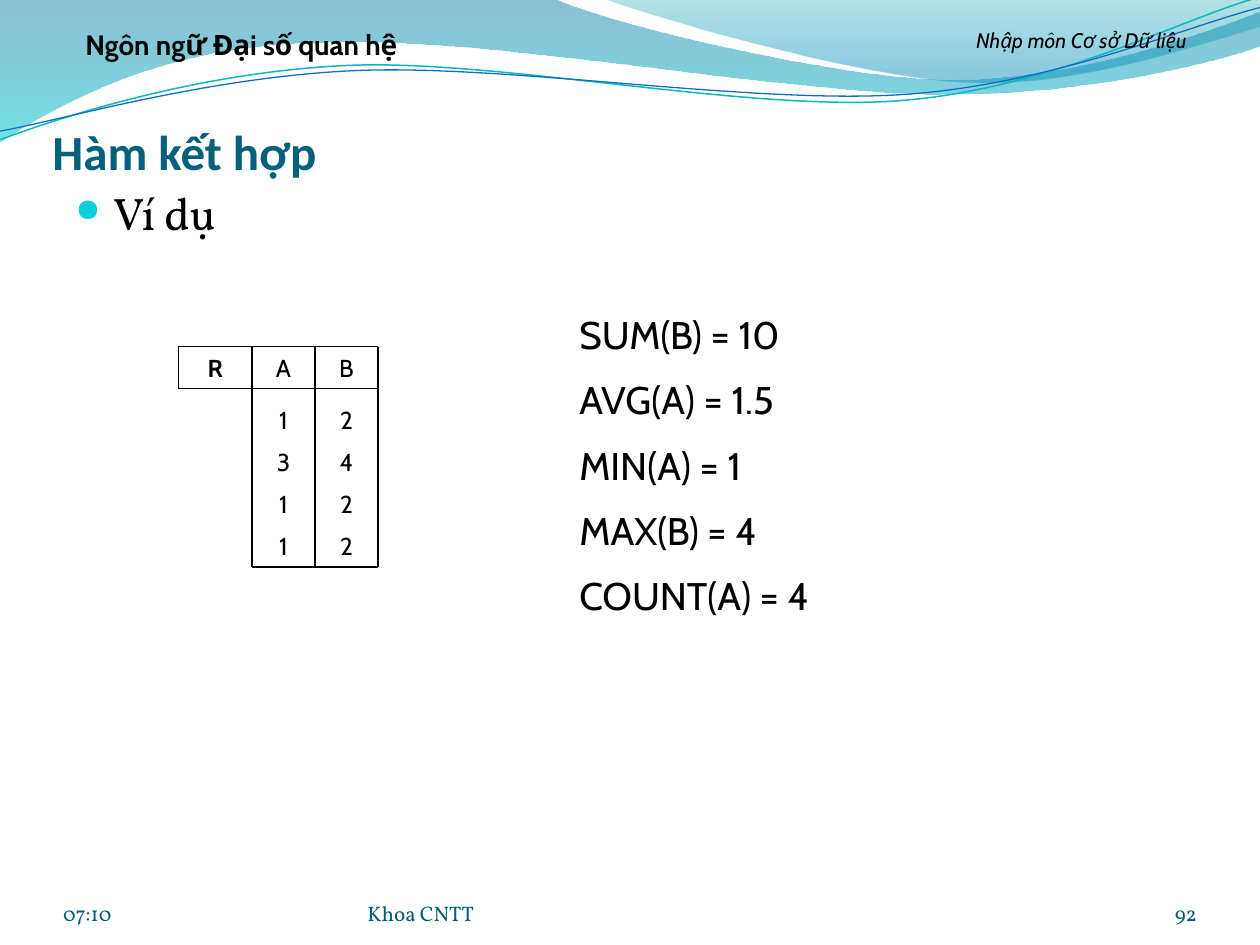
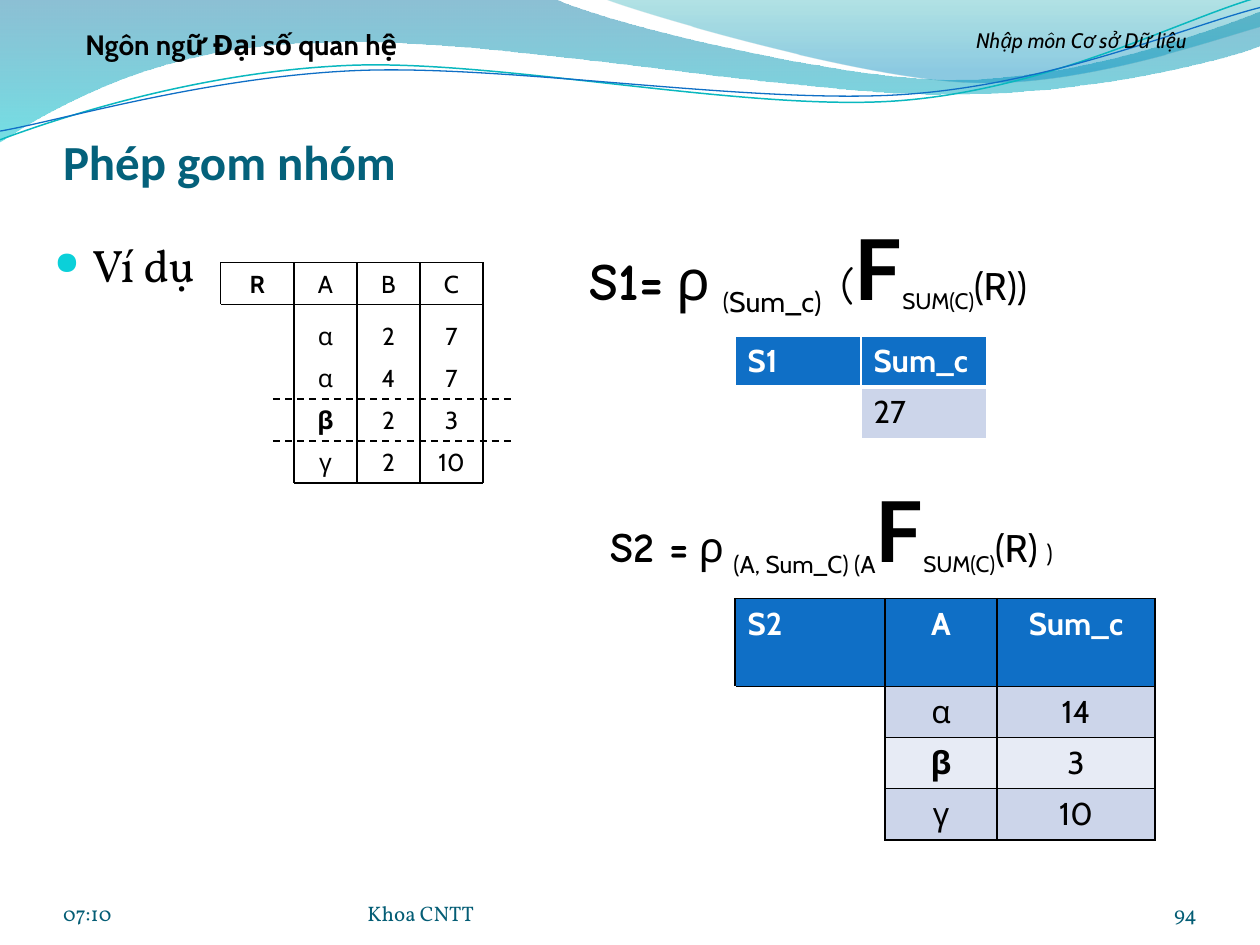
from dataclasses import dataclass
from typing import NamedTuple

import lxml.etree
import pptx
import pptx.dml.color
import pptx.enum.dml
import pptx.enum.shapes
import pptx.enum.text
import pptx.oxml
import pptx.oxml.ns
import pptx.util

Pt = pptx.util.Pt
ALIGN = pptx.enum.text.PP_ALIGN
ANCHOR = pptx.enum.text.MSO_ANCHOR
QN = pptx.oxml.ns.qn
NAMESPACE = pptx.oxml.ns.nsdecls("a")

BLACK, WHITE = "000000", "FFFFFF"
TITLE_TEAL, FOOTER_TEAL = "04617B", "045D75"
HEADER_BLUE, BULLET_CYAN = "0F6FC6", "0BD0D9"
ROW_FILLS = ("CCD5EA", "E7EBF5")
BOLD_SYMBOLS = {"R", "β"}
HEADING_FONT, BODY_FONT, LABEL_FONT = "Calibri", "Vollkorn", "Cabin"
FORMULA_FONT, OPERATOR_FONT = "Comic Neue", "Lato"


class Box(NamedTuple):
    left: float
    top: float
    width: float
    height: float


class Wave(NamedTuple):
    """A start point, then segments of one point (line) or three (curve)."""
    start: tuple
    segments: list
    stops: tuple = ()
    line: tuple = ()


@dataclass
class Relation:
    left: float
    top: float
    rows: list
    dashes_after: tuple = ()


@dataclass
class ResultTable:
    left: float
    top: float
    widths: list
    header_height: float
    rows: list
    aligns: list
    border: str
    header_rule: float


WAVES = [
    Wave((0, -0.7), [
        [(316.8, -0.7)],
        [(342.7, 12.2), (478.1, 45.4), (545.8, 45.4)],
        [(614.2, 45.4), (689.8, 18.7), (720, 6.5)],
        [(720.7, 25.9)],
        [(707.8, 31.7), (626.4, 54.7), (537.1, 54)],
        [(447.8, 54), (275, 20.2), (185, 24.5)],
        [(92.9, 25.2), (33.1, 59.8), (-0.7, 81.4)],
    ], stops=((0, "0074A1", 45), (100, "00C6CF", 55))),
    Wave((344.9, -0.7), [
        [(366.5, 7.9), (491, 44.6), (553.7, 46.8)],
        [(616.3, 49.7), (691.9, 23), (720, 15.1)],
        [(720, 0)],
    ], stops=((0, "00A1A9", 30), (80, "008BBF", 45))),
    Wave((0, 79.9), [
        [(34.6, 67), (113.8, 41), (199.4, 37.4)],
        [(284.4, 33.8), (427, 64.1), (513.4, 57.6)],
        [(599.8, 51.1), (675.4, 10.8), (718.6, -1.4)],
    ], line=("0AB8BF", 0.85)),
    Wave((0, 74.9), [
        [(33.8, 69.1), (118.1, 43.9), (203.8, 40.3)],
        [(290.2, 36.7), (429.8, 59.8), (516.2, 54)],
        [(601.9, 48.2), (677.5, 15.1), (720, 4.3)],
    ], line=(HEADER_BLUE, 0.75)),
]


def rgb(color: str) -> pptx.dml.color.RGBColor:
    return pptx.dml.color.RGBColor.from_string(color)


def write_text(paragraph, text: str, *, size: float, font: str = LABEL_FONT,
               color: str = BLACK, bold: bool = False, italic: bool = False,
               baseline: int = 0, align=ALIGN.LEFT) -> None:
    """Append one formatted run to the paragraph."""
    paragraph.alignment = align
    run = paragraph.add_run()
    run.text = text
    run.font.size, run.font.name = Pt(size), font
    run.font.bold, run.font.italic = bold, italic
    run.font.color.rgb = rgb(color)
    if baseline:
        run.font._element.set("baseline", str(baseline * 1000))


def add_frame(slide, box: Box, anchor=ANCHOR.TOP, insets: tuple = (7.2, 3.6, 7.2, 3.6)):
    frame = slide.shapes.add_textbox(*map(Pt, box)).text_frame
    frame.word_wrap = True
    frame.vertical_anchor = anchor
    (frame.margin_left, frame.margin_top,
     frame.margin_right, frame.margin_bottom) = map(Pt, insets)
    return frame


def add_label(slide, box: Box, text: str, **text_format) -> None:
    write_text(add_frame(slide, box).paragraphs[0], text, align=ALIGN.CENTER, **text_format)


def add_line(slide, start: tuple, end: tuple, dashed: bool = False) -> None:
    line = slide.shapes.add_connector(
        pptx.enum.shapes.MSO_CONNECTOR.STRAIGHT, *map(Pt, start + end))
    line.line.color.rgb = rgb(BLACK)
    line.line.width = Pt(1)
    if dashed:
        line.line.dash_style = pptx.enum.dml.MSO_LINE.DASH
    lxml.etree.SubElement(line._element.spPr, QN("a:effectLst"))


def bend_segments(shape, segments: list) -> None:
    """Turn each run of three straight steps into one Bézier curve."""
    steps = iter(list(shape._element.iter(QN("a:lnTo"))))
    for segment in segments:
        first, *others = [next(steps) for _ in segment]
        if others:
            curve = lxml.etree.Element(QN("a:cubicBezTo"))
            first.addprevious(curve)
            for step in (first, *others):
                curve.append(step[0])
                step.getparent().remove(step)


def add_wave(slide, wave: Wave) -> None:
    builder = slide.shapes.build_freeform(*map(Pt, wave.start))
    builder.add_line_segments(
        [(Pt(x), Pt(y)) for segment in wave.segments for x, y in segment],
        close=bool(wave.stops))
    shape = builder.convert_to_shape()
    bend_segments(shape, wave.segments)
    shape.shadow.inherit = False
    if wave.line:
        shape.fill.background()
        color, width = wave.line
        shape.line.color.rgb = rgb(color)
        shape.line.width = Pt(width)
        return
    shape.line.fill.background()
    stops = "".join(
        f'<a:gs pos="{place * 1000}"><a:srgbClr val="{color}">'
        f'<a:alpha val="{alpha * 1000}"/></a:srgbClr></a:gs>'
        for place, color, alpha in wave.stops)
    gradient = pptx.oxml.parse_xml(
        f'<a:gradFill {NAMESPACE} rotWithShape="1"><a:gsLst>{stops}</a:gsLst>'
        '<a:lin ang="5400000" scaled="0"/></a:gradFill>')
    shape._element.spPr.find(QN("a:custGeom")).addnext(gradient)


def add_bullet(slide, box: Box, text: str) -> None:
    paragraph = add_frame(slide, box).paragraphs[0]
    properties = paragraph._p.get_or_add_pPr()
    properties.set("marL", str(Pt(21.6)))
    properties.set("indent", str(Pt(-21.6)))
    for bullet in (f'<a:buClr {NAMESPACE}><a:srgbClr val="{BULLET_CYAN}"/></a:buClr>',
                   f'<a:buSzPct {NAMESPACE} val="70000"/>',
                   f'<a:buChar {NAMESPACE} char="●"/>'):
        properties.append(pptx.oxml.parse_xml(bullet))
    write_text(paragraph, text, size=26, font=BODY_FONT)


def add_base_slide(deck, title: str, title_box: Box, number: str):
    """Add a slide with the waves, headers, title and footers."""
    slide = deck.slides.add_slide(deck.slide_layouts[6])
    for wave in WAVES:
        add_wave(slide, wave)
    title_frame = add_frame(slide, title_box, ANCHOR.BOTTOM, (0, 3.6, 0, 0))
    write_text(title_frame.paragraphs[0], title, size=28, font=HEADING_FONT,
               color=TITLE_TEAL, bold=True)
    for left, width, text, align in ((36, 168, "07:10", ALIGN.LEFT),
                                     (210, 264, "Khoa CNTT", ALIGN.LEFT),
                                     (624, 60, number, ALIGN.RIGHT)):
        footer = add_frame(slide, Box(left, 500.4, width, 28.8), ANCHOR.BOTTOM, (0, 0, 0, 0))
        write_text(footer.paragraphs[0], text, size=12, font=BODY_FONT,
                   color=FOOTER_TEAL, align=align)
    add_label(slide, Box(516, 12, 204, 27), "Nhập môn Cơ sở Dữ liệu", size=12, italic=True)
    add_label(slide, Box(18, 12, 240, 27), "Ngôn ngữ Đại số quan hệ", size=16, bold=True)
    return slide


def add_relation(slide, relation: Relation) -> None:
    """Draw relation R: a name cell and header row above ruled columns."""
    name_width, column, row_height, gap = 42, 36, 24, 6
    left, top = relation.left, relation.top
    inner = left + name_width
    right = inner + column * len(relation.rows[0])
    header_bottom = top + row_height
    first_row = header_bottom + gap
    bottom = first_row + row_height * (len(relation.rows) - 1)

    add_label(slide, Box(left, top, name_width, row_height), "R", size=14, bold=True)
    for r, values in enumerate(relation.rows):
        y = first_row + (r - 1) * row_height if r else top
        for c, value in enumerate(values):
            add_label(slide, Box(inner + c * column, y, column, row_height), value,
                      size=14, bold=value in BOLD_SYMBOLS)
    for start, y in ((left, top), (left, header_bottom), (inner, bottom)):
        add_line(slide, (start, y), (right, y))
    add_line(slide, (left, top), (left, header_bottom))
    for x in range(inner, right + 1, column):
        add_line(slide, (x, top), (x, bottom))
    for count in relation.dashes_after:
        y = first_row + count * row_height
        add_line(slide, (inner - 12, y), (right + 18, y), dashed=True)


def set_borders(cell, **sides: tuple) -> None:
    """Set the L, R, T and B borders, each as (colour, width)."""
    properties = cell._tc.get_or_add_tcPr()
    for index, side in enumerate("LRTB"):
        color, width = sides[side]
        properties.insert(index, pptx.oxml.parse_xml(
            f'<a:ln{side} {NAMESPACE} w="{Pt(width)}"><a:solidFill>'
            f'<a:srgbClr val="{color}"/></a:solidFill></a:ln{side}>'))


def add_result_table(slide, result: ResultTable) -> None:
    """Draw a result whose first column holds only its name in the header."""
    heights = [result.header_height] + [29.25] * (len(result.rows) - 1)
    table = slide.shapes.add_table(
        len(heights), len(result.widths), Pt(result.left), Pt(result.top),
        Pt(sum(result.widths)), Pt(sum(heights))).table
    table.first_row = table.horz_banding = False
    for column, width in zip(table.columns, result.widths):
        column.width = Pt(width)
    for row, height in zip(table.rows, heights):
        row.height = Pt(height)

    edge, blank, rule = (result.border, 1), (WHITE, 1), (result.border, result.header_rule)
    for r, values in enumerate(result.rows):
        for c, value in enumerate(values):
            cell = table.cell(r, c)
            outer = edge if value else blank
            if value:
                cell.fill.solid()
                cell.fill.fore_color.rgb = rgb(ROW_FILLS[(r - 1) % 2] if r else HEADER_BLUE)
                write_text(cell.text_frame.paragraphs[0], value, size=18,
                           color=BLACK if r else WHITE,
                           bold=r == 0 or value in BOLD_SYMBOLS, align=result.aligns[c])
            else:
                cell.fill.background()
            set_borders(cell, L=outer, R=edge,
                        T=rule if r == 1 else outer, B=outer if r else rule)
    if len(heights) > 2:
        table.cell(1, 0).merge(table.cell(len(heights) - 1, 0))


def add_formula(slide, box: Box, parts: list) -> None:
    """Write one line from (text, size, format) parts."""
    paragraph = add_frame(slide, box).paragraphs[0]
    for text, size, text_format in parts:
        write_text(paragraph, text, size=size, **text_format)


def build_aggregates(deck) -> None:
    slide = add_base_slide(deck, "Hàm kết hợp", Box(30, 54, 672, 49), "92")
    add_bullet(slide, Box(36, 102, 648, 381), "Ví dụ")
    add_relation(slide, Relation(102, 198, ["AB", "12", "34", "12", "12"]))
    examples = add_frame(slide, Box(324, 174, 168, 192))
    for index, example in enumerate(("SUM(B) = 10", "AVG(A) = 1.5", "MIN(A) = 1",
                                     "MAX(B) = 4", "COUNT(A) = 4")):
        paragraph = examples.add_paragraph() if index else examples.paragraphs[0]
        if index:
            paragraph.space_before = Pt(11)
        write_text(paragraph, example, size=22)


def build_grouping(deck) -> None:
    slide = add_base_slide(deck, "Phép gom nhóm", Box(36, 60, 672, 49), "94")
    add_bullet(slide, Box(24, 132, 672, 381), "Ví dụ")
    add_relation(slide, Relation(
        126, 150, ["ABC", "α27", "α47", "β23", ("γ", "2", "10")], dashes_after=(2, 3)))

    name = {"font": FORMULA_FONT, "bold": True}
    operator = {"font": OPERATOR_FONT, "bold": True}
    subscript = {"baseline": -25}
    add_formula(slide, Box(330, 120, 354, 65.5), [
        ("S1=", 30, name), (" ρ ", 32, {}), ("(", 24, subscript), ("Sum_c)", 28, subscript),
        (" ", 30, name), ("(", 24, {"font": FORMULA_FONT}), ("F", 48, operator),
        ("SUM(C)", 22, subscript), ("(R))", 22, {})])
    add_formula(slide, Box(342, 270, 354, 65.5), [
        ("S2 =", 24, name), (" ρ ", 24, {}), ("(A, Sum_C) (A", 24, subscript),
        ("F", 48, operator), ("SUM(C)", 22, subscript), ("(R) ", 22, {}), (")", 14, {})])

    add_result_table(slide, ResultTable(
        420, 192, [72, 72], 29.25, [("S1", "Sum_c"), ("", "27")],
        [ALIGN.LEFT] * 2, WHITE, 3))
    add_result_table(slide, ResultTable(
        420, 342, [85.75, 64, 90.25], 50.25,
        [("S2", "A", "Sum_c"), ("", "α", "14"), ("", "β", "3"), ("", "γ", "10")],
        [ALIGN.LEFT, ALIGN.CENTER, ALIGN.CENTER], BLACK, 1))


def main() -> None:
    deck = pptx.Presentation()
    deck.slide_width, deck.slide_height = Pt(720), Pt(540)
    build_aggregates(deck)
    build_grouping(deck)
    deck.save("out.pptx")


if __name__ == "__main__":
    main()
